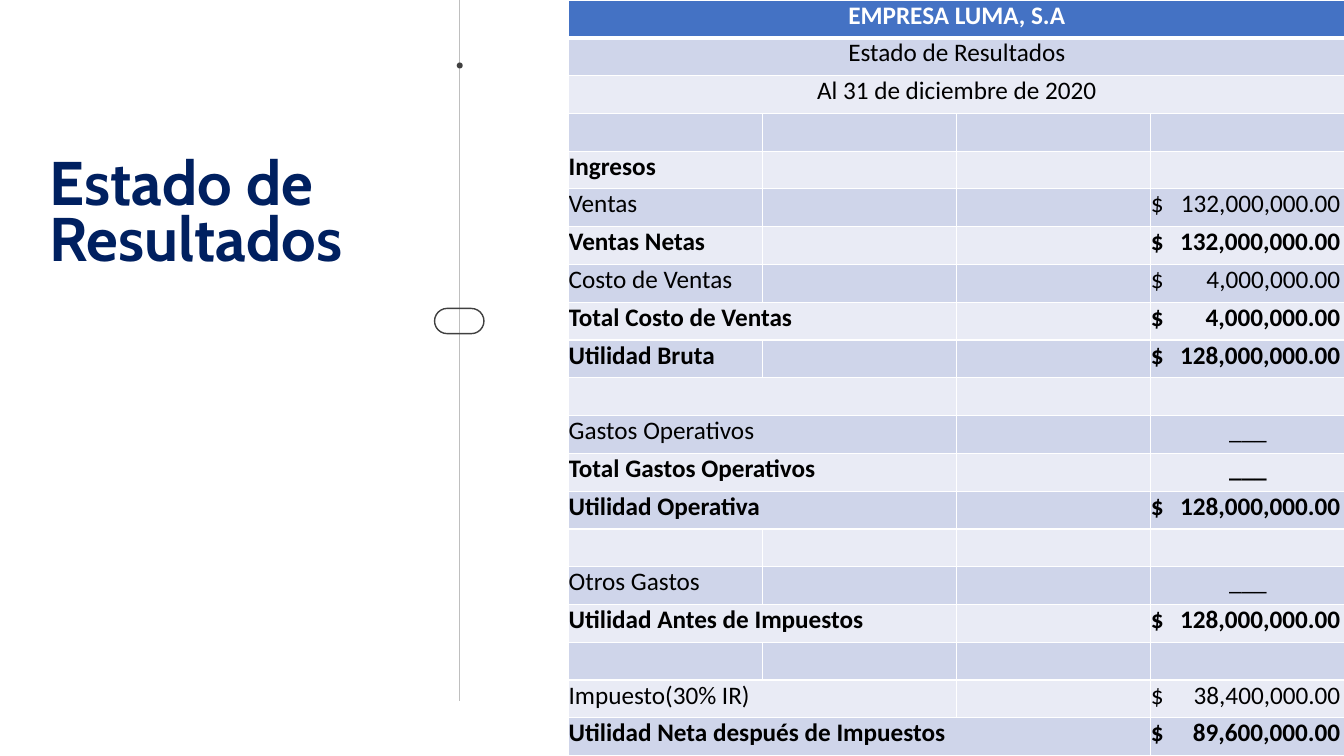
from dataclasses import dataclass

from lxml import etree
from pptx import Presentation
from pptx.dml.color import RGBColor
from pptx.enum.shapes import MSO_CONNECTOR, MSO_SHAPE
from pptx.enum.text import MSO_ANCHOR, MSO_AUTO_SIZE, PP_ALIGN
from pptx.oxml.ns import qn
from pptx.util import Inches, Pt

LEFT, CENTER = PP_ALIGN.LEFT, PP_ALIGN.CENTER
TOP = MSO_ANCHOR.TOP
GROW = MSO_AUTO_SIZE.SHAPE_TO_FIT_TEXT
STRAIGHT = MSO_CONNECTOR.STRAIGHT
PILL, DOT = MSO_SHAPE.ROUNDED_RECTANGLE, MSO_SHAPE.OVAL
TITLE_ONLY = 5


@dataclass(frozen=True)
class Theme:
    title_font: str = "Cabin"
    body_font: str = "Calibri"
    title_size: int = 44
    title_leading: int = 40
    body_size: int = 18
    navy: str = "002060"
    header: str = "4472C4"
    bands: tuple = ("E9EBF5", "CFD5EA")
    white: str = "FFFFFF"
    black: str = "000000"
    rail: str = "BFBFBF"
    marker: str = "404040"


THEME = Theme()
COLUMNS = 4
COLUMN_WIDTH = 1.925
ROW_HEIGHT = 0.375
AMOUNT_TAB = 1.88
NO_AMOUNT = "___"

# label, amount, bold, columns spanned by the label
STATEMENT = [
    ("EMPRESA LUMA, S.A", "", True, 4),
    ("Estado de Resultados", "", False, 4),
    ("Al 31 de diciembre de 2020", "", False, 4),
    ("", "", False, 1),
    ("Ingresos", "", True, 1),
    ("Ventas", "132,000,000.00", False, 1),
    ("Ventas Netas", "132,000,000.00", True, 1),
    ("Costo de Ventas", "4,000,000.00", False, 1),
    ("Total Costo de Ventas", "4,000,000.00", True, 2),
    ("Utilidad Bruta", "128,000,000.00", True, 1),
    ("", "", False, 2),
    ("Gastos Operativos", NO_AMOUNT, False, 2),
    ("Total Gastos Operativos", NO_AMOUNT, True, 2),
    ("Utilidad Operativa", "128,000,000.00", True, 2),
    ("", "", False, 1),
    ("Otros Gastos", NO_AMOUNT, False, 1),
    ("Utilidad Antes de Impuestos", "128,000,000.00", True, 2),
    ("", "", False, 1),
    ("Impuesto(30% IR)", "38,400,000.00", False, 2),
    ("Utilidad Neta después de Impuestos", "89,600,000.00", True, 3),
]


def apply_format(target, values):
    for name, value in values.items():
        setattr(target, name, value)


def write(para, text, font, size, color, bold, align=LEFT):
    para.alignment = align
    span = para.add_run()
    span.text = text
    apply_format(span.font, {"name": font, "size": Pt(size), "bold": bold})
    span.font.color.rgb = RGBColor.from_string(color)


def add_title(page, text):
    title = page.shapes.title
    apply_format(title, {"left": Inches(0.49), "top": Inches(1.61),
                         "width": Inches(3.94), "height": Inches(1.12)})
    apply_format(title.text_frame, {
        "margin_left": 0, "margin_right": 0, "margin_top": 0, "margin_bottom": 0,
        "word_wrap": True, "vertical_anchor": TOP, "auto_size": GROW})
    para = title.text_frame.paragraphs[0]
    para.line_spacing = Pt(THEME.title_leading)
    write(para, text, THEME.title_font, THEME.title_size, THEME.navy, True)


def add_rail(page, x, top, bottom):
    rail = page.shapes.add_connector(
        STRAIGHT, Inches(x), Inches(top), Inches(x), Inches(bottom))
    rail.line.color.rgb = RGBColor.from_string(THEME.rail)
    rail.line.width = Pt(0.5)
    etree.SubElement(rail.element.spPr, qn("a:effectLst"))


def add_marker(page, kind, left, top, width, height):
    marker = page.shapes.add_shape(
        kind, Inches(left), Inches(top), Inches(width), Inches(height))
    marker.shadow.inherit = False
    return marker


def set_borders(cell, bottom):
    properties = cell._tc.get_or_add_tcPr()
    widths = {"a:lnL": 1, "a:lnR": 1, "a:lnT": 1, "a:lnB": bottom}
    for position, (side, width) in enumerate(widths.items()):
        line = etree.Element(qn(side), w=str(int(Pt(width))))
        fill = etree.SubElement(line, qn("a:solidFill"))
        etree.SubElement(fill, qn("a:srgbClr"), val=THEME.white)
        properties.insert(position, line)


def add_amount_tab(para):
    tabs = etree.SubElement(para._p.get_or_add_pPr(), qn("a:tabLst"))
    etree.SubElement(tabs, qn("a:tab"), pos=str(int(Inches(AMOUNT_TAB))), algn="r")


def style_cell(cell, row):
    apply_format(cell, {"margin_left": 0, "margin_right": 0, "margin_top": 0,
                        "margin_bottom": 0, "vertical_anchor": TOP})
    cell.fill.solid()
    color = THEME.bands[row % 2] if row else THEME.header
    cell.fill.fore_color.rgb = RGBColor.from_string(color)
    set_borders(cell, 1 if row else 3)
    cell.text_frame.paragraphs[0].font.size = Pt(THEME.body_size)


def write_cell(cell, text, bold, color, align):
    write(cell.text_frame.paragraphs[0], text, THEME.body_font,
          THEME.body_size, color, bold, align)


def add_statement(page):
    table = page.shapes.add_table(
        len(STATEMENT), COLUMNS, Inches(5.64), 0,
        Inches(COLUMNS * COLUMN_WIDTH), Inches(len(STATEMENT) * ROW_HEIGHT)).table
    apply_format(table, {"first_row": False, "horz_banding": False})
    for row, (label, amount, bold, columns) in enumerate(STATEMENT):
        cells = [table.cell(row, column) for column in range(COLUMNS)]
        for cell in cells:
            style_cell(cell, row)
        if columns > 1:
            cells[0].merge(cells[columns - 1])
        if label:
            write_cell(cells[0], label, bold, THEME.black if row else THEME.white,
                       CENTER if columns == COLUMNS else LEFT)
        if amount == NO_AMOUNT:
            write_cell(cells[-1], amount, bold, THEME.black, CENTER)
        elif amount:
            write_cell(cells[-1], f"$\t{amount}", bold, THEME.black, LEFT)
            add_amount_tab(cells[-1].text_frame.paragraphs[0])


def main():
    deck = Presentation()
    deck.slide_width, deck.slide_height = Inches(13.33), Inches(7.5)
    page = deck.slides.add_slide(deck.slide_layouts[TITLE_ONLY])
    add_statement(page)
    add_title(page, "Estado de Resultados")
    add_rail(page, 4.56, 0, 6.95)

    pill = add_marker(page, PILL, 4.31, 3.06, 0.49, 0.25)
    pill.adjustments[0] = 0.5
    pill.fill.background()
    pill.line.color.rgb = RGBColor.from_string(THEME.marker)
    pill.line.width = Pt(1)

    dot = add_marker(page, DOT, 4.53, 0.62, 0.06, 0.06)
    dot.fill.solid()
    dot.fill.fore_color.rgb = RGBColor.from_string(THEME.marker)
    dot.line.fill.background()

    deck.save("out.pptx")


if __name__ == "__main__":
    main()
